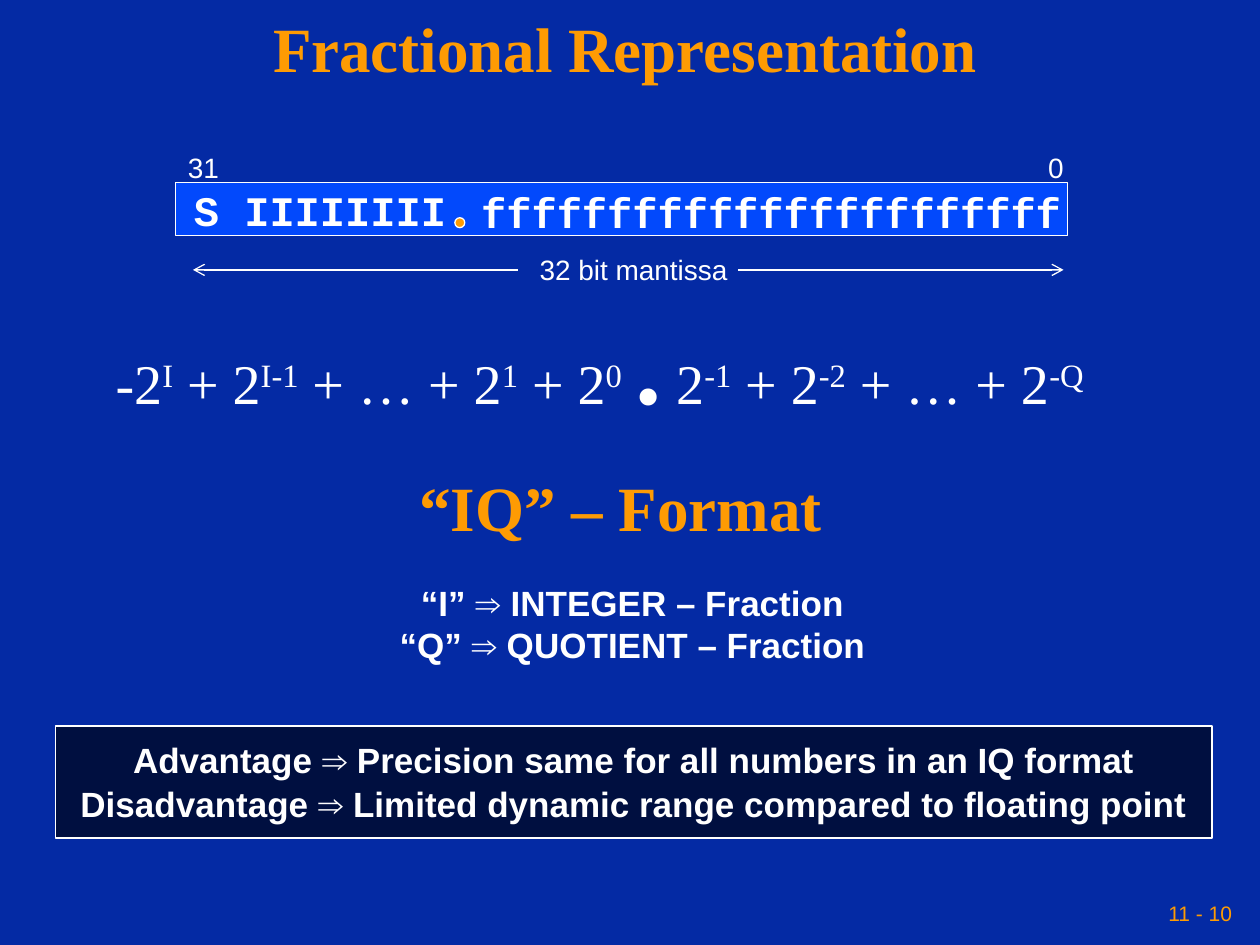
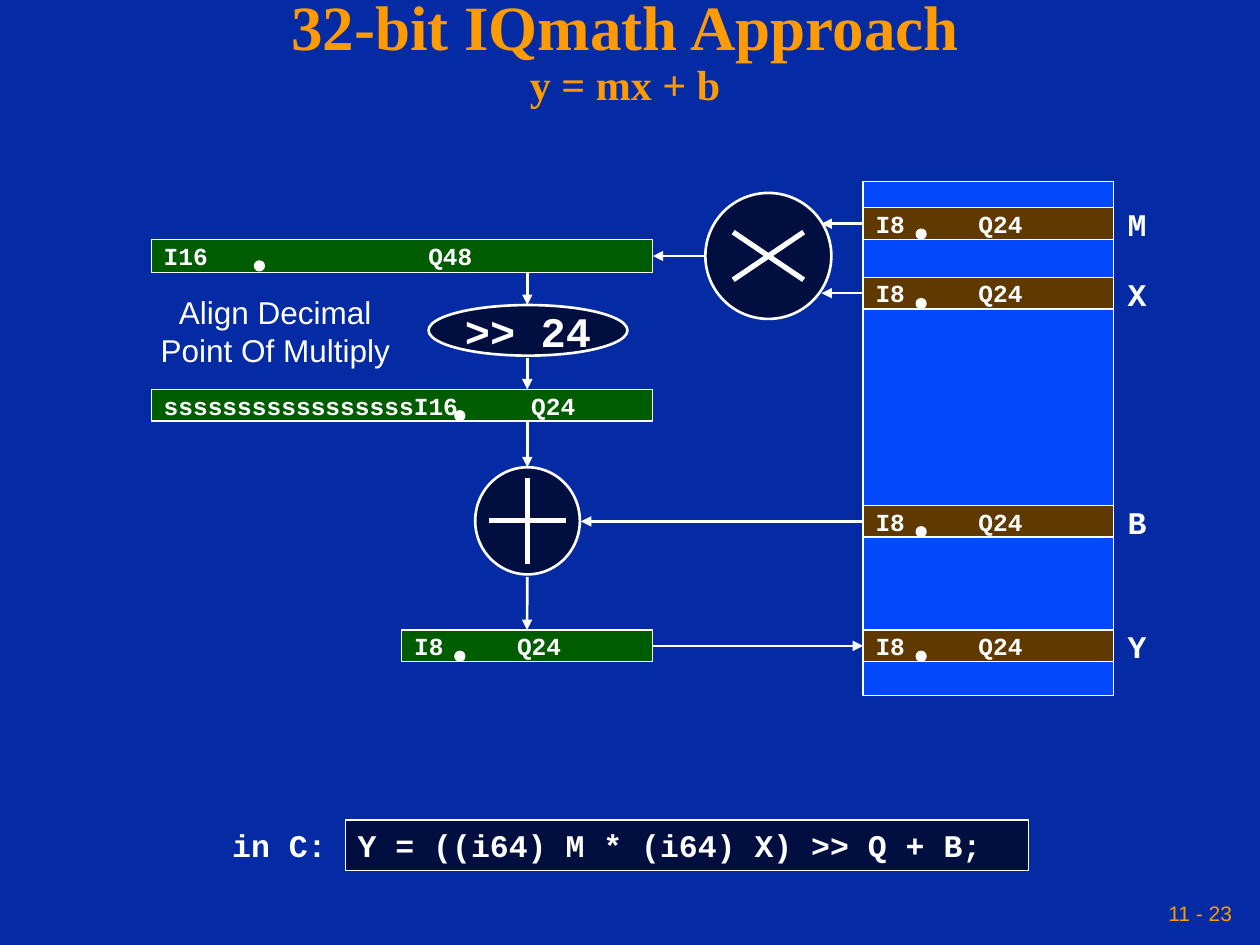
from dataclasses import dataclass

from lxml.etree import SubElement
from pptx import Presentation
from pptx.dml.color import RGBColor
from pptx.enum.shapes import MSO_CONNECTOR, MSO_SHAPE
from pptx.enum.text import MSO_ANCHOR, PP_ALIGN
from pptx.oxml.ns import qn
from pptx.util import Cm, Pt


@dataclass(frozen=True)
class Theme:
    background: str = "042AA4"
    accent: str = "FE9B03"
    white: str = "FFFFFF"
    memory: str = "0249FC"
    dark: str = "000F40"
    variable: str = "603900"
    working: str = "005C00"
    sans: str = "Arial"
    serif: str = "Times New Roman"
    mono: str = "Courier New"
    thin: float = 0.75
    medium: float = 1.5
    thick: float = 3
    code_size: int = 14


THEME = Theme()
NUMBER = {"name": THEME.sans, "size": 12, "color": THEME.accent}
TITLE = {"name": THEME.serif, "size": 36, "bold": True, "color": THEME.accent}
SUBTITLE = {**TITLE, "size": 24}
CAPTION = {"name": THEME.sans, "size": 16}
NOTE = {"name": THEME.sans, "size": 18}
STATEMENT = {"name": THEME.sans, "size": 20, "bold": True}
FORMULA = {"name": THEME.serif, "size": 32, "bold": False}
POINT = {**FORMULA, "size": 60, "bold": True}
BITS = {"name": THEME.mono, "size": 24, "bold": True}
CODE = {**BITS, "size": 18}
CELL = {**BITS, "size": THEME.code_size}

# Slide 1 content; places are left, top, width, height in centimetres
BIT_LABELS = [
    ("S IIIIIIII", (3.66, 3.58, 5.8, 1.27), BITS),
    ("fffffffffffffffffffffff", (9.45, 3.63, 12.4, 1.27), BITS),
    ("0", (20.88, 2.9, 1, 0.94), CAPTION),
    ("31", (3.54, 2.9, 1.5, 0.94), CAPTION),
    ("32 bit mantissa", (10.63, 4.96, 4.6, 0.94), CAPTION),
]
MANTISSA_ARROWS = [(10.44, 3.89), (14.88, 21.44)]
# Each term is a base and its exponent
TERMS = [
    ("-2", "I"), (" + 2", "I-1"), (" + … + 2", "1"), (" + 2", "0"), (" ", ""), (".", ""),
    (" 2", "-1"), (" + 2", "-2"), (" + … + 2", "-Q"),
]
MEANINGS = ["“I” ⇒ INTEGER – Fraction", "“Q” ⇒ QUOTIENT – Fraction"]
TRADE_OFFS = [
    "Advantage ⇒ Precision same for all numbers in an IQ format",
    "Disadvantage ⇒ Limited dynamic range compared to floating point",
]

# Slide 2 content
MEMORY = (17.4, 3.66, 5.05, 10.36)
VARIABLES = {"M": 4.19, "X": 5.59, "B": 10.19, "Y": 12.7}
SHORT_CELL = ("I8", "Q24", 7, 1.07)  # integer, fraction, fraction column, point offset
WORKING = {
    "product": (("I16", "Q48", 18, 2.08), (3.05, 4.83, 10.11, 0.66)),
    "aligned": (("sssssssssssssssssI16", "Q24", 25, 6.12), (3.05, 7.85, 10.11, 0.64)),
    "result": (SHORT_CELL, (8.1, VARIABLES["Y"], 5.05, 0.64)),
}
FLOW_X = 10.63
MULTIPLY = (15.49, 5.16)
ADD = (FLOW_X, 10.5)


def style_run(run, style):
    values = {"color": THEME.white, **style, "size": Pt(style["size"])}
    run.font.color.rgb = RGBColor.from_string(values.pop("color"))
    for name, value in values.items():
        setattr(run.font, name, value)


def add_run(para, text, style):
    run = para.add_run()
    run.text = text
    style_run(run, style)
    return run


def set_frame(frame, anchor=MSO_ANCHOR.TOP, wrap=False, side=0.25):
    values = {
        "vertical_anchor": anchor, "word_wrap": wrap,
        "margin_left": Cm(side), "margin_right": Cm(side),
        "margin_top": Cm(0.13), "margin_bottom": Cm(0.13),
    }
    for name, value in values.items():
        setattr(frame, name, value)


def write(shape, lines, style, align=PP_ALIGN.LEFT, gap=0, **frame_values):
    """Fill a shape with one paragraph per line, gap points apart."""
    frame = shape.text_frame
    set_frame(frame, **frame_values)
    for index, line in enumerate(lines):
        para = frame.add_paragraph() if index else frame.paragraphs[0]
        para.alignment = align
        if index and gap:
            para.space_before = Pt(gap)
        add_run(para, line, style)


def add_text(slide, place, lines, style, wrap=True, **values):
    box = slide.shapes.add_textbox(*map(Cm, place))
    write(box, lines, style, wrap=wrap, **values)
    return box


def add_box(slide, place, fill, width=THEME.thin, kind=MSO_SHAPE.RECTANGLE):
    shape = slide.shapes.add_shape(kind, *map(Cm, place))
    shape.shadow.inherit = False
    shape.fill.solid()
    shape.fill.fore_color.rgb = RGBColor.from_string(fill)
    shape.line.color.rgb = RGBColor.from_string(THEME.white)
    shape.line.width = Pt(width)
    return shape


def add_ellipse(slide, place, fill=THEME.dark, width=THEME.medium):
    return add_box(slide, place, fill, width, MSO_SHAPE.OVAL)


def add_point(slide, left, top, fill=THEME.white):
    add_ellipse(slide, (left, top, 0.2, 0.2), fill, THEME.thin)


def add_line(slide, start, end, width=THEME.medium, arrow=None):
    """Draw from start to end, each an (x, y) point or a (shape, side) pair."""
    line = slide.shapes.add_connector(MSO_CONNECTOR.STRAIGHT, 0, 0, 0, 0)
    ends = [
        (start, line.begin_connect, "begin_x", "begin_y"),
        (end, line.end_connect, "end_x", "end_y"),
    ]
    for target, join, x_name, y_name in ends:
        if hasattr(target[0], "shape_id"):
            join(*target)
        else:
            setattr(line, x_name, Cm(target[0]))
            setattr(line, y_name, Cm(target[1]))
    line.line.color.rgb = RGBColor.from_string(THEME.white)
    line.line.width = Pt(width)
    properties = line._element.spPr
    if arrow:
        SubElement(properties.find(qn("a:ln")), qn("a:tailEnd"), type=arrow)
    SubElement(properties, qn("a:effectLst"))


def add_page(deck, title, number, subtitle=None):
    slide = deck.slides.add_slide(deck.slide_layouts[5])
    holder = slide.shapes.title
    holder.left, holder.top, holder.width, holder.height = map(Cm, (0, 0, 25.2, 2.11))
    write(holder, [title], TITLE, PP_ALIGN.CENTER,
          anchor=MSO_ANCHOR.MIDDLE, wrap=True, side=0.13)
    para = holder.text_frame.paragraphs[0]
    para.line_spacing = 0.9
    if subtitle:
        para.add_line_break()
        add_run(para, subtitle, SUBTITLE)
    add_text(slide, (17.35, 17.98, 7.62, 0.84), [number], NUMBER,
             align=PP_ALIGN.RIGHT, anchor=MSO_ANCHOR.MIDDLE, side=0.13)
    return slide


def add_cell(slide, place, fill, content):
    """Draw a register with its integer part, fraction part and binary point."""
    integer, fraction, column, point_offset = content
    cell = add_box(slide, place, fill)
    write(cell, [f"{integer}\t{fraction}"], CELL, anchor=MSO_ANCHOR.MIDDLE, wrap=True)
    properties = cell.text_frame.paragraphs[0]._p.get_or_add_pPr()
    tabs = SubElement(properties, qn("a:tabLst"))
    position = int(Pt(THEME.code_size) * 0.6 * column)
    SubElement(tabs, qn("a:tab"), pos=str(position), algn="l")
    add_point(slide, place[0] + point_offset, place[1] + 0.43)
    return cell


def add_formula(slide):
    box = add_text(slide, (2.08, 5.9, 21.59, 2.79), [], FORMULA)
    para = box.text_frame.paragraphs[0]
    for base, exponent in TERMS:
        add_run(para, base, POINT if base == "." else FORMULA)
        if exponent:
            run = add_run(para, exponent, FORMULA)
            run._r.get_or_add_rPr().set("baseline", "30000")


def build_representation(deck):
    slide = add_page(deck, "Fractional Representation", "11 - 10")
    add_box(slide, (3.54, 3.68, 17.98, 1.07), THEME.memory)
    for text, place, style in BIT_LABELS:
        add_text(slide, place, [text], style)
    add_point(slide, 9.17, 4.39, THEME.accent)
    for start, end in MANTISSA_ARROWS:
        add_line(slide, (start, 5.44), (end, 5.44), THEME.thin, "arrow")
    add_formula(slide)
    add_text(slide, (8.04, 9.32, 8.94, 1.78), ["“IQ” – Format"], TITLE,
             align=PP_ALIGN.CENTER)
    add_text(slide, (7.2, 11.6, 11.1, 1.96), MEANINGS, STATEMENT,
             align=PP_ALIGN.CENTER)
    panel = add_box(slide, (1.12, 14.63, 23.32, 2.26), THEME.dark, 1)
    write(panel, TRADE_OFFS, STATEMENT, PP_ALIGN.CENTER, gap=1,
          anchor=MSO_ANCHOR.MIDDLE, wrap=True)


def build_approach(deck):
    slide = add_page(deck, "32-bit IQmath Approach", "11 - 23", "y = mx + b")
    add_box(slide, MEMORY, THEME.memory)
    cells = {}
    for name, top in VARIABLES.items():
        place = (MEMORY[0], top, MEMORY[2], 0.64)
        cells[name] = add_cell(slide, place, THEME.variable, SHORT_CELL)
        add_text(slide, (22.48, top - 0.18, 1.1, 1.02), [name], CODE)
    for name, (content, place) in WORKING.items():
        cells[name] = add_cell(slide, place, THEME.working, content)

    add_ellipse(slide, (14.22, 3.89, 2.54, 2.54))
    add_ellipse(slide, (9.58, 9.42, 2.11, 2.16))
    strokes = [
        (MULTIPLY, 0.71, 0.48), (MULTIPLY, 0.71, -0.48), (ADD, 0, 0.86), (ADD, 0.77, 0),
    ]
    for (x, y), across, down in strokes:
        add_line(slide, (x - across, y - down), (x + across, y + down), THEME.thick)
    shift = add_ellipse(slide, (8.64, 6.15, 4.01, 1.02))
    write(shift, [">> 24"], BITS, PP_ALIGN.CENTER, anchor=MSO_ANCHOR.MIDDLE)

    arrows = [
        ((cells["M"], 1), (16.56, 4.51)),
        ((cells["X"], 1), (16.56, 5.91)),
        ((14.22, 5.16), (cells["product"], 3)),
        ((FLOW_X, 5.49), (FLOW_X, 6.15)),
        ((FLOW_X, 7.21), (FLOW_X, 7.85)),
        ((FLOW_X, 8.49), (FLOW_X, 9.42)),
        ((cells["B"], 1), (11.71, 10.51)),
        ((FLOW_X, 11.63), (cells["result"], 0)),
        ((cells["result"], 3), (cells["Y"], 1)),
    ]
    for start, end in arrows:
        add_line(slide, start, end, arrow="triangle")

    add_text(slide, (2.7, 5.78, 5.7, 1.78), ["Align Decimal", "Point Of Multiply"], NOTE,
             align=PP_ALIGN.CENTER)
    statement = add_box(slide, (6.96, 16.53, 13.77, 1.02), THEME.dark)
    write(statement, ["Y = ((i64) M * (i64) X) >> Q + B;"], CODE, wrap=True)
    add_text(slide, (4.43, 16.53, 2.95, 1.02), ["in C:"], CODE)


def main():
    deck = Presentation()
    deck.slide_width, deck.slide_height = Cm(25.4), Cm(19.05)
    fill = deck.slide_master.background.fill
    fill.solid()
    fill.fore_color.rgb = RGBColor.from_string(THEME.background)
    build_representation(deck)
    build_approach(deck)
    deck.save("out.pptx")


if __name__ == "__main__":
    main()
